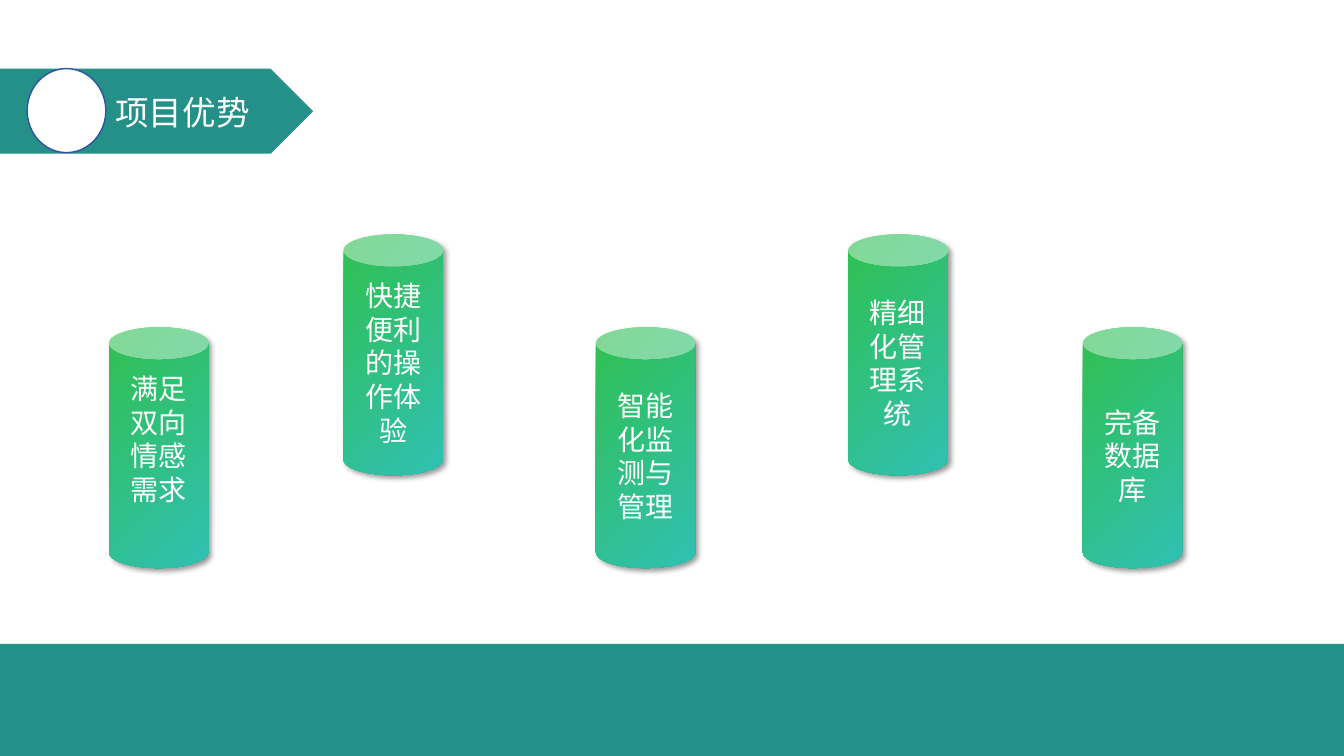
from dataclasses import dataclass

from lxml import etree
from pptx import Presentation
from pptx.dml.color import RGBColor
from pptx.enum.shapes import MSO_SHAPE
from pptx.enum.text import MSO_ANCHOR, MSO_AUTO_SIZE, PP_ALIGN
from pptx.oxml.ns import qn
from pptx.util import Pt

RECTANGLE, PENTAGON = MSO_SHAPE.RECTANGLE, MSO_SHAPE.PENTAGON
OVAL, CAN = MSO_SHAPE.OVAL, MSO_SHAPE.CAN
TOP, MIDDLE = MSO_ANCHOR.TOP, MSO_ANCHOR.MIDDLE
LEFT, CENTER = PP_ALIGN.LEFT, PP_ALIGN.CENTER
NO_AUTOFIT = MSO_AUTO_SIZE.NONE


@dataclass(frozen=True)
class Theme:
    teal: RGBColor = RGBColor(0x24, 0x90, 0x87)
    white: RGBColor = RGBColor(0xFF, 0xFF, 0xFF)
    badge_line: RGBColor = RGBColor(0x2E, 0x54, 0xA1)
    can_start: RGBColor = RGBColor(0x30, 0xC0, 0x4F)
    can_end: RGBColor = RGBColor(0x30, 0xC0, 0xB4)
    font: str = "Noto Sans CJK JP"
    title_size: int = 24
    can_size: int = 20


THEME = Theme()
PAGE_WIDTH, PAGE_HEIGHT = 960, 540
LINE_HEIGHT = 24

# Cans: left edge, top edge, paragraphs
CAN_WIDTH, CAN_HEIGHT = 70.9, 172
HIGH, LOW = 167.5, 233.8
ADVANTAGES = [
    (77.9, LOW, ["满足双向", "情感需求"]),
    (245.4, HIGH, ["快捷便利的操作体验"]),
    (425.7, LOW, ["智能化监测与管理"]),
    (606, HIGH, ["精细化管理系统"]),
    (773.5, LOW, ["完备数据库"]),
]


def add_plain(page, kind, box, color):
    shape = page.shapes.add_shape(kind, *map(Pt, box))
    shape.shadow.inherit = False
    shape.fill.solid()
    shape.fill.fore_color.rgb = color
    shape.line.fill.background()
    return shape


def write(frame, texts, size, align):
    frame.word_wrap = True
    frame.auto_size = NO_AUTOFIT
    for index, text in enumerate(texts):
        para = frame.add_paragraph() if index else frame.paragraphs[0]
        para.text = text
        para.alignment = align
        para.font.size = Pt(size)
        para.font.name = THEME.font
        para.font.color.rgb = THEME.white
        # East Asian typeface follows the Latin one
        latin = para._p.pPr.find(qn("a:defRPr")).find(qn("a:latin"))
        east_asian = etree.Element(qn("a:ea"), typeface=THEME.font)
        latin.addnext(east_asian)


def add_banner(page, box, text):
    left, top, width, height = box
    add_plain(page, PENTAGON, box, THEME.teal)
    # Plain round badge
    badge = add_plain(page, OVAL, (left + 19.4, top, 56.2, height - 0.8), THEME.white)
    badge.line.color.rgb = THEME.badge_line
    badge.line.width = Pt(1)
    # Title, brought in front of the banner
    title = page.shapes.title
    title.left, title.top = Pt(left + 75.2), Pt(top + 12.9)
    title.width, title.height = Pt(width - 100.6), Pt(36)
    page.shapes._spTree.append(title._element)
    title.text_frame.vertical_anchor = TOP
    write(title.text_frame, [text], THEME.title_size, LEFT)


def add_shadow(shape):
    shape.shadow.inherit = False
    effects = shape._element.spPr.find(qn("a:effectLst"))
    shadow = etree.SubElement(effects, qn("a:outerShdw"), blurRad=str(Pt(4)),
                              dist=str(Pt(3)), dir="2700000", algn="tl", rotWithShape="0")
    color = etree.SubElement(shadow, qn("a:srgbClr"), val="000000")
    etree.SubElement(color, qn("a:alpha"), val="40000")


def add_can(page, box, texts):
    can = page.shapes.add_shape(CAN, *map(Pt, box))
    can.adjustments[0] = 0.32
    can.fill.gradient()
    can.fill.gradient_angle = 315
    for stop, color in zip(can.fill.gradient_stops, (THEME.can_start, THEME.can_end)):
        stop.color.rgb = color
    can.line.fill.background()
    add_shadow(can)
    frame = can.text_frame
    frame.vertical_anchor = MIDDLE
    # Split labels sit half a line higher
    if len(texts) > 1:
        frame.margin_bottom = Pt(3.6 + LINE_HEIGHT)
    write(frame, texts, THEME.can_size, CENTER)


def add_advantages_page(deck):
    page = deck.slides.add_slide(deck.slide_layouts[5])
    add_plain(page, RECTANGLE, (0, 460, PAGE_WIDTH, PAGE_HEIGHT - 460), THEME.teal)
    add_banner(page, (0, 49, 223.7, 60.8), "项目优势")
    for left, top, texts in ADVANTAGES:
        add_can(page, (left, top, CAN_WIDTH, CAN_HEIGHT), texts)


def main():
    deck = Presentation()
    deck.slide_width, deck.slide_height = Pt(PAGE_WIDTH), Pt(PAGE_HEIGHT)
    add_advantages_page(deck)
    deck.save("out.pptx")


if __name__ == "__main__":
    main()
